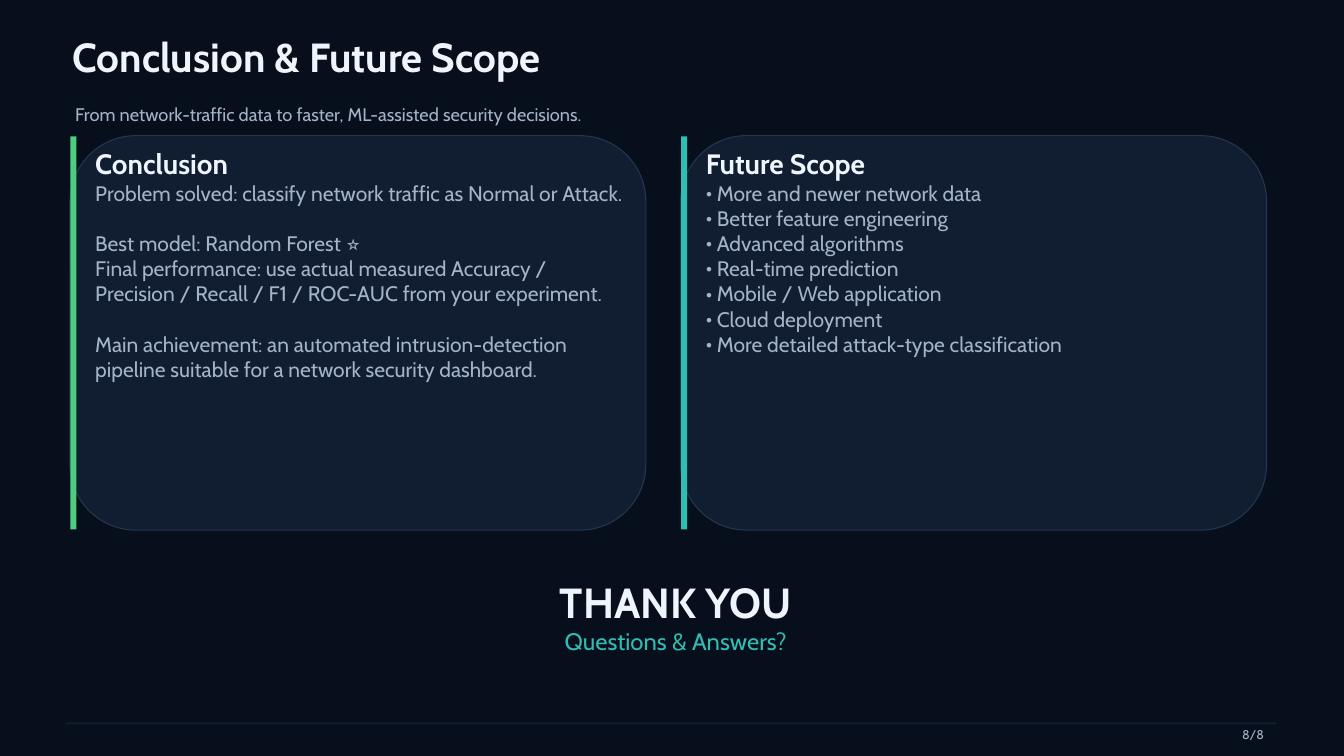
"""Build the closing slide: conclusion, future scope and thanks."""
import pptx
import pptx.dml.color
import pptx.enum.shapes
import pptx.enum.text
import pptx.oxml.ns
import pptx.util
from lxml import etree

Pt = pptx.util.Pt
RGBColor = pptx.dml.color.RGBColor
ALIGN = pptx.enum.text.PP_ALIGN
SHAPE = pptx.enum.shapes.MSO_SHAPE

BACKGROUND = RGBColor(0x08, 0x0F, 0x1C)
PANEL = RGBColor(0x11, 0x1D, 0x30)
BORDER = RGBColor(0x23, 0x37, 0x4E)
WHITE = RGBColor(0xEE, 0xF5, 0xFC)
GREY = RGBColor(0xA3, 0xB4, 0xC6)
GREEN = RGBColor(0x4C, 0xCD, 0x82)
TEAL = RGBColor(0x30, 0xBE, 0xB4)

FONT = "Cabin"
BODY_LINE = 27
BULLET_INDENT = 11.8
CARD_TOP, CARD_HEIGHT = 145.4, 422.6

CARDS = [
    {
        "left": 75, "width": 617, "accent": GREEN, "title": "Conclusion", "bulleted": False,
        "groups": [
            ["Problem solved: classify network traffic as Normal or Attack."],
            ["Best model: Random Forest ⭐",
             "Final performance: use actual measured Accuracy / Precision / Recall / F1 / "
             "ROC-AUC from your experiment."],
            ["Main achievement: an automated intrusion-detection pipeline suitable for "
             "a network security dashboard."],
        ],
    },
    {
        "left": 729.2, "width": 627.8, "accent": TEAL, "title": "Future Scope", "bulleted": True,
        "groups": [[
            "More and newer network data",
            "Better feature engineering",
            "Advanced algorithms",
            "Real-time prediction",
            "Mobile / Web application",
            "Cloud deployment",
            "More detailed attack-type classification",
        ]],
    },
]

TEXTS = [
    ((77.8, 33.8, 1271.5, 81.4), ALIGN.LEFT,
     [("Conclusion & Future Scope", 43.5, 52.2, WHITE, True)]),
    ((80.6, 110.9, 1250, 39.6), ALIGN.LEFT,
     [("From network-traffic data to faster, ML-assisted security decisions.",
       19.5, 23.4, GREY, False)]),
    ((450, 617.8, 548, 103), ALIGN.CENTER,
     [("THANK YOU", 45, 54, WHITE, True),
      ("Questions & Answers?", 25.5, 30.6, TEAL, False)]),
    ((1282.3, 778.3, 72, 16.6), ALIGN.RIGHT, [("8/8", 13.5, 16.2, GREY, False)]),
]


def add_panel(slide, kind, box, fill, border=None):
    shape = slide.shapes.add_shape(kind, *map(Pt, box))
    shape.shadow.inherit = False
    shape.fill.solid()
    shape.fill.fore_color.rgb = fill
    if border is None:
        shape.line.fill.background()
    else:
        shape.line.color.rgb = border
        shape.line.width = Pt(1.13)


def add_frame(slide, box):
    frame = slide.shapes.add_textbox(*map(Pt, box)).text_frame
    frame.word_wrap = True
    frame.margin_left = frame.margin_top = frame.margin_right = frame.margin_bottom = 0
    return frame


def add_line(frame, text, size, spacing, color, bold, align=ALIGN.LEFT):
    first = frame.paragraphs[0]
    paragraph = frame.add_paragraph() if first.runs else first
    paragraph.alignment = align
    paragraph.line_spacing = Pt(spacing)
    run = paragraph.add_run()
    run.text = text
    run.font.name = FONT
    run.font.size = Pt(size)
    run.font.bold = bold
    run.font.color.rgb = color
    return paragraph


def add_bullet(paragraph):
    properties = paragraph._p.get_or_add_pPr()
    properties.set("marL", str(Pt(BULLET_INDENT)))
    properties.set("indent", str(-Pt(BULLET_INDENT)))
    qn = pptx.oxml.ns.qn
    etree.SubElement(properties, qn("a:buFont"), typeface=FONT)
    etree.SubElement(properties, qn("a:buChar"), char="•")


def add_card(slide, card):
    left, width = card["left"], card["width"]
    add_panel(slide, SHAPE.ROUNDED_RECTANGLE, (left, CARD_TOP, width, CARD_HEIGHT), PANEL, BORDER)
    add_panel(slide, SHAPE.RECTANGLE,
              (left + 0.5, CARD_TOP + 0.7, 6.5, CARD_HEIGHT - 1.4), card["accent"])
    frame = add_frame(slide, (left + 27, CARD_TOP + 11.6, width - 49.6, CARD_HEIGHT - 24.4))
    add_line(frame, card["title"], 30, 36, WHITE, True)
    for group_index, group in enumerate(card["groups"]):
        for line_index, text in enumerate(group):
            paragraph = add_line(frame, text, 22.5, BODY_LINE, GREY, False)
            if group_index and line_index == 0:
                paragraph.space_before = Pt(BODY_LINE)
            if card["bulleted"]:
                add_bullet(paragraph)


def main():
    presentation = pptx.Presentation()
    presentation.slide_width, presentation.slide_height = Pt(1440), Pt(810)
    slide = presentation.slides.add_slide(presentation.slide_layouts[6])
    slide.background.fill.solid()
    slide.background.fill.fore_color.rgb = BACKGROUND
    for card in CARDS:
        add_card(slide, card)
    add_panel(slide, SHAPE.RECTANGLE, (70.6, 774, 1296.7, 2.2), PANEL)
    for box, align, lines in TEXTS:
        frame = add_frame(slide, box)
        for line in lines:
            add_line(frame, *line, align=align)
    presentation.save("out.pptx")


if __name__ == "__main__":
    main()
